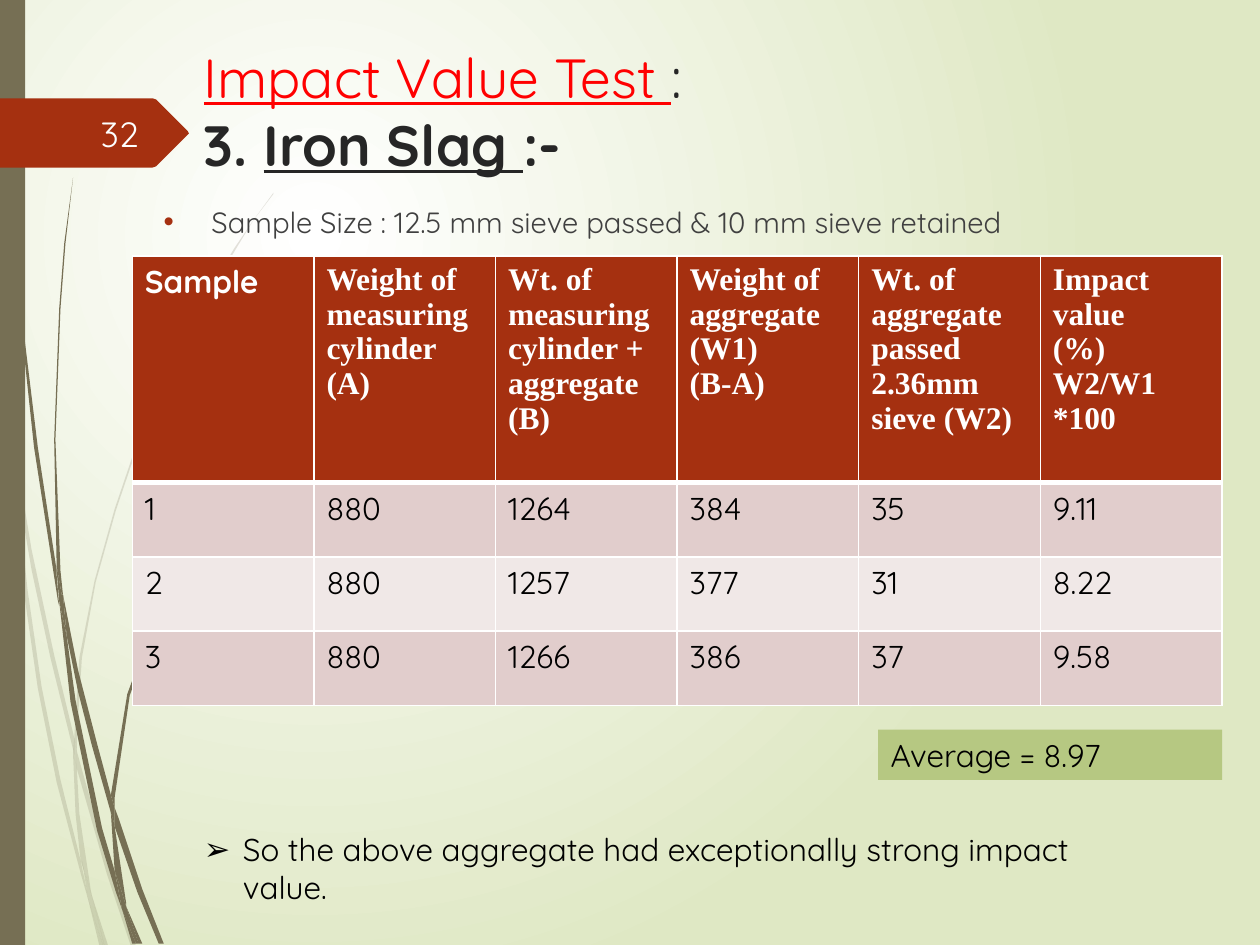
from lxml import etree
from pptx import Presentation
from pptx.dml.color import RGBColor
from pptx.enum.shapes import MSO_SHAPE
from pptx.enum.text import MSO_ANCHOR, PP_ALIGN
from pptx.oxml import parse_xml
from pptx.oxml.ns import nsdecls, qn
from pptx.util import Inches, Pt

W, H = 10, 7.5
COLORS = {"white": "FFFFFF", "page": "DFE8C4", "olive": "766F54", "rust": "A53010",
          "red": "FF0000", "title": "262626", "body": "404040", "number": "FEFFFF",
          "black": "000000", "green": "B6C882", "odd": "E1CDCC", "even": "F0E8E7"}
SANS, SERIF = "Quicksand", "Times New Roman"

# Grass: outline corners of each blade section, in inches
PALE_GRASS = [
    [(0.08, 3.5), (0.06, 3.22), (0, 2.82), (0, 2.99), (0.07, 3.44)],
    [(0.4, 5.22), (0.59, 5.99), (0.59, 5.86), (0.43, 5.2), (0.25, 4.36), (0.1, 3.45),
     (0.12, 3.76), (0.25, 4.52)],
    [(0.64, 6.07), (0.61, 5.96), (0.61, 6.1), (0.85, 6.94), (1.04, 7.51), (1.08, 7.51),
     (0.88, 6.92)],
    [(0.83, 7.51), (0.86, 7.51), (0.73, 7.11)],
    [(0.64, 6.83), (0.48, 6.19), (0.33, 5.45), (0.22, 4.69), (0.12, 3.76), (0.08, 3.5),
     (0.19, 4.7), (0.3, 5.46), (0.45, 6.21), (0.64, 6.93), (0.7, 7.14), (0.69, 7.07)],
    [(0.58, 5.99), (0.6, 6.46), (0.64, 6.83), (0.67, 6.92), (0.73, 7.11), (0.72, 7.06),
     (0.63, 6.46), (0.61, 6.1), (0.61, 6.08)],
    [(0.61, 5.84), (0.65, 5.22), (0.76, 4.62), (0.92, 4.05), (1.11, 3.49), (1.33, 2.96),
     (1.59, 2.45), (1.87, 1.98), (2.01, 1.75), (2.17, 1.54), (2.17, 1.53), (2.01, 1.75),
     (1.86, 1.97), (1.58, 2.44), (1.32, 2.95), (1.1, 3.48), (0.91, 4.04), (0.75, 4.61),
     (0.63, 5.22), (0.59, 5.84), (0.59, 5.86), (0.61, 5.96)],
    [(0.7, 7.14), (0.79, 7.51), (0.82, 7.51)],
    [(0.61, 6.08), (0.61, 6.1), (0.61, 5.96), (0.59, 5.86), (0.58, 5.99)],
    [(0.67, 6.92), (0.65, 6.83), (0.69, 7.07), (0.7, 7.14), (0.82, 7.51), (0.83, 7.51),
     (0.73, 7.11)],
]
DARK_GRASS = [
    [(0.05, 1.1), (0.14, 2.33), (0.27, 3.55), (0.46, 4.77), (0.47, 4.81), (0.45, 4.57),
     (0.45, 4.53), (0.3, 3.55), (0.15, 2.32), (0.06, 1.09), (0.04, 0.48), (0.03, 0),
     (0.02, 0), (0.03, 0.48)],
    [(0.73, 5.92), (0.88, 6.45), (0.88, 6.33), (0.88, 6.31), (0.77, 5.9), (0.62, 5.32),
     (0.5, 4.72), (0.53, 5.05), (0.62, 5.49)],
    [(0.94, 6.49), (0.91, 6.41), (0.91, 6.56), (1.09, 7.08), (1.26, 7.49), (1.3, 7.49),
     (1.13, 7.06)],
    [(0.91, 6.91), (0.81, 6.57), (0.6, 5.56), (0.53, 5.05), (0.47, 4.77), (0.56, 5.57),
     (0.77, 6.59), (0.92, 7.08), (0.97, 7.22), (0.96, 7.17)],
    [(0.5, 4.72), (0.48, 4.53), (0.44, 3.49), (0.48, 2.45), (0.52, 1.93), (0.58, 1.41),
     (0.51, 1.93), (0.47, 2.45), (0.43, 3.49), (0.45, 4.49), (0.49, 4.72)],
    [(1.1, 7.49), (1.13, 7.49), (1, 7.19)],
    [(0.47, 4.77), (0.53, 5.05), (0.5, 4.72), (0.49, 4.72), (0.45, 4.49), (0.45, 4.53)],
    [(0.91, 6.33), (1.03, 5.52), (1.31, 4.76), (1.69, 4.06), (1.91, 3.74), (2.03, 3.59),
     (2.16, 3.44), (2.15, 3.44), (2.03, 3.58), (1.91, 3.73), (1.68, 4.05), (1.29, 4.74),
     (1.01, 5.51), (0.88, 6.31), (0.91, 6.41)],
    [(0.97, 7.22), (1.05, 7.49), (1.08, 7.49)],
    [(0.88, 6.45), (0.91, 6.91), (0.96, 7.06), (1, 7.19), (1, 7.16), (0.91, 6.56), (0.9, 6.51)],
    [(0.88, 6.45), (0.9, 6.51), (0.91, 6.56), (0.91, 6.41), (0.88, 6.31), (0.88, 6.33)],
    [(0.96, 7.06), (0.91, 6.91), (0.96, 7.17), (0.97, 7.22), (1.08, 7.49), (1.1, 7.49),
     (1, 7.19)],
]
PAGE_TAG = [(1.49, 1.07), (1.24, 1.32), (1.21, 1.33), (0, 1.33), (0, 0.78), (1.21, 0.78),
            (1.24, 0.79), (1.49, 1.04), (1.5, 1.06)]
ROWS = [
    ["Sample", "Weight of measuring cylinder\n(A)", "Wt. of measuring cylinder + aggregate\n(B)",
     "Weight of aggregate\n(W1)\n(B-A)", "Wt. of aggregate passed 2.36mm sieve (W2)",
     "Impact value\n(%)\nW2/W1 *100"],
    ["1", "880", "1264", "384", "35", "9.11"],
    ["2", "880", "1257", "377", "31", "8.22"],
    ["3", "880", "1266", "386", "37", "9.58"],
]


def rgb(key):
    return RGBColor.from_string(COLORS[key])


def box(x, y, w, h):
    return [Inches(v) for v in (x, y, w, h)]


def paint(sp, color, opacity=100):
    sp.shadow.inherit = False
    sp.fill.solid()
    sp.fill.fore_color.rgb = rgb(color)
    sp.line.fill.background()
    if opacity < 100:
        clr = sp._element.spPr.find(qn("a:solidFill"))[0]
        etree.SubElement(clr, qn("a:alpha")).set("val", str(opacity * 1000))


def add_outline(s, corners, color, opacity=100):
    pts = [(x * 100, y * 100) for x, y in corners]
    builder = s.shapes.build_freeform(*pts[0], scale=Inches(0.01))
    builder.add_line_segments(pts[1:], close=True)
    paint(builder.convert_to_shape(), color, opacity)


def add_run(p, text, color, **fmt):
    r = p.add_run()
    r.text = text
    r.font.color.rgb = rgb(color)
    for name, value in {"name": SANS, "size": Pt(18), **fmt}.items():
        setattr(r.font, name, value)


def add_text(s, x, y, w, h, anchor=MSO_ANCHOR.TOP):
    tf = s.shapes.add_textbox(*box(x, y, w, h)).text_frame
    tf.word_wrap = True
    tf.vertical_anchor = anchor
    return tf.paragraphs[0]


def set_bullet(p, char, indent, color):
    pPr = p._p.get_or_add_pPr()
    pPr.set("marL", str(Inches(indent)))
    pPr.set("indent", str(-Inches(indent)))
    clr = etree.SubElement(pPr, qn("a:buClr"))
    etree.SubElement(clr, qn("a:srgbClr")).set("val", COLORS[color])
    etree.SubElement(pPr, qn("a:buFont")).set("typeface", "Arial")
    etree.SubElement(pPr, qn("a:buChar")).set("char", char)


def set_borders(cell, **widths):
    tcPr = cell._tc.get_or_add_tcPr()
    for i, side in enumerate("LRTB"):
        tcPr.insert(i, parse_xml(
            f'<a:ln{side} {nsdecls("a")} w="{Pt(widths.get(side, 1))}"><a:solidFill>'
            f'<a:srgbClr val="{COLORS["white"]}"/></a:solidFill></a:ln{side}>'))


def add_background(s):
    fill = s.background.fill
    fill.gradient()
    for stop, color in zip(fill.gradient_stops, ("white", "page")):
        stop.color.rgb = rgb(color)
    grad = s._element.find(".//" + qn("a:gradFill"))
    grad.replace(grad.find(qn("a:lin")), parse_xml(
        f'<a:path {nsdecls("a")} path="circle">'
        '<a:fillToRect l="50000" t="50000" r="100000" b="100000"/></a:path>'))


def add_results(s):
    cols = len(ROWS[0])
    table = s.shapes.add_table(len(ROWS), cols, *box(1.05, 2.03, 8.65, 3.57)).table
    for col in table.columns:
        col.width = Inches(8.65 / cols)
    for i, values in enumerate(ROWS):
        header = i == 0
        table.rows[i].height = Inches(1.8 if header else 0.59)
        for j, value in enumerate(values):
            cell = table.cell(i, j)
            cell.fill.solid()
            cell.fill.fore_color.rgb = rgb("rust" if header else "odd" if i % 2 else "even")
            set_borders(cell, T=3 if i == 1 else 1, B=3 if header else 1)
            tf = cell.text_frame
            for k, line in enumerate(value.split("\n")):
                p = tf.add_paragraph() if k else tf.paragraphs[0]
                add_run(p, line, "white" if header else "black", bold=header,
                        name=SERIF if header and j else SANS)


def main():
    prs = Presentation()
    prs.slide_width, prs.slide_height = Inches(W), Inches(H)
    s = prs.slides.add_slide(prs.slide_layouts[6])
    add_background(s)

    # Grass, side bar and page tag
    for blades, opacity in ((PALE_GRASS, 20), (DARK_GRASS, 100)):
        for corners in blades:
            add_outline(s, corners, "olive", opacity)
    paint(s.shapes.add_shape(MSO_SHAPE.RECTANGLE, *box(0, 0, 0.02 * W, H)), "olive")
    add_outline(s, PAGE_TAG, "rust")

    # Title
    p = add_text(s, 1.52, 0.28, 8.18, 1.17)
    add_run(p, "Impact Value Test ", "red", size=Pt(31.5), underline=True)
    add_run(p, ":", "title", size=Pt(32.4))
    p.add_line_break()
    for text, line in (("3. ", False), ("Iron Slag ", True), (":-", False)):
        add_run(p, text, "title", size=Pt(32.4), bold=True, underline=line)

    # Sample size and page number
    p = add_text(s, 1.2, 1.57, 8.18, 0.35)
    set_bullet(p, "•", 0.38, "rust")
    add_run(p, "Sample Size : 12.5 mm sieve passed & 10 mm sieve retained", "body", size=Pt(16.7))
    p = add_text(s, 0.56, 0.86, 0.64, 0.4, MSO_ANCHOR.MIDDLE)
    p.alignment = PP_ALIGN.RIGHT
    add_run(p, "32", "number", size=Pt(20))

    add_results(s)

    # Average and conclusion
    sp = s.shapes.add_shape(MSO_SHAPE.RECTANGLE, *box(6.97, 5.79, 2.73, 0.4))
    paint(sp, "green")
    sp.text_frame.vertical_anchor = MSO_ANCHOR.TOP
    p = sp.text_frame.paragraphs[0]
    p.alignment = PP_ALIGN.LEFT
    add_run(p, "Average = 8.97", "black")
    p = add_text(s, 1.52, 6.54, 7.75, 0.71)
    set_bullet(p, "➢", 0.31, "black")
    add_run(p, "So the above aggregate had exceptionally strong impact value.", "black")

    prs.save("out.pptx")


if __name__ == "__main__":
    main()
